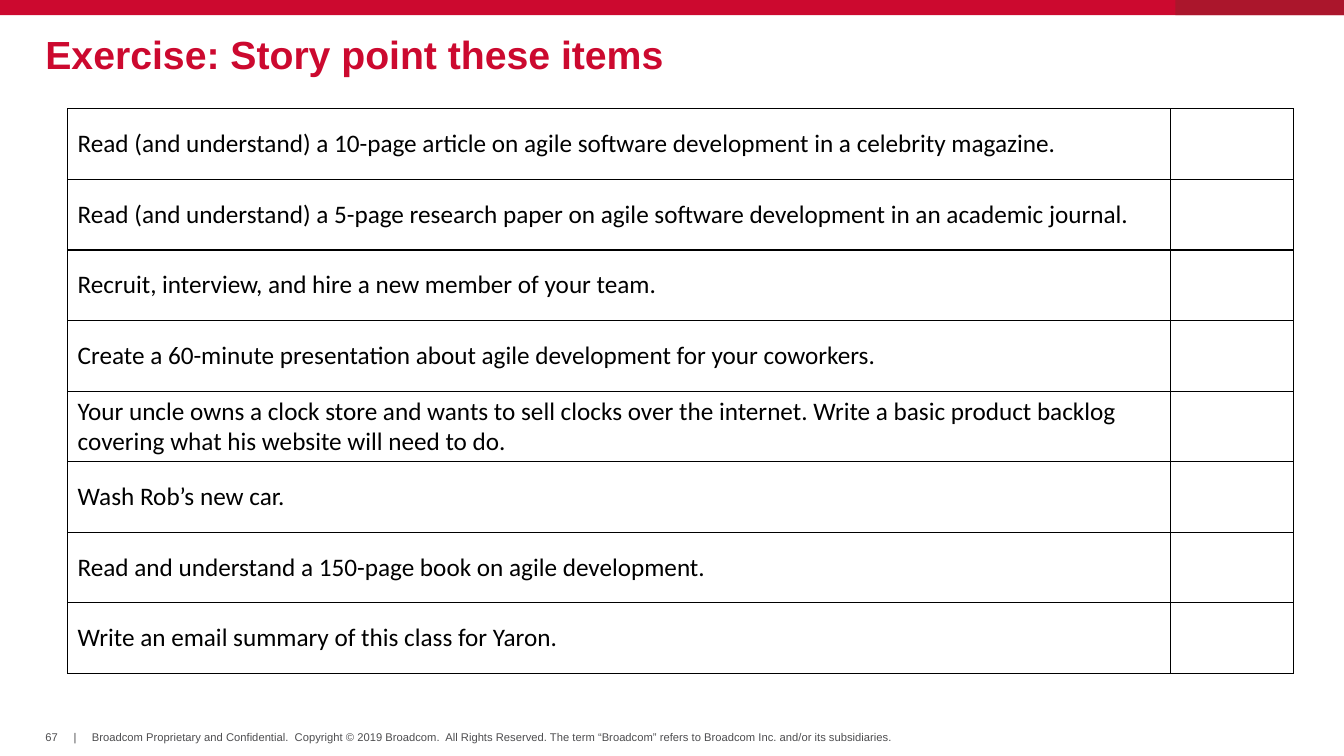
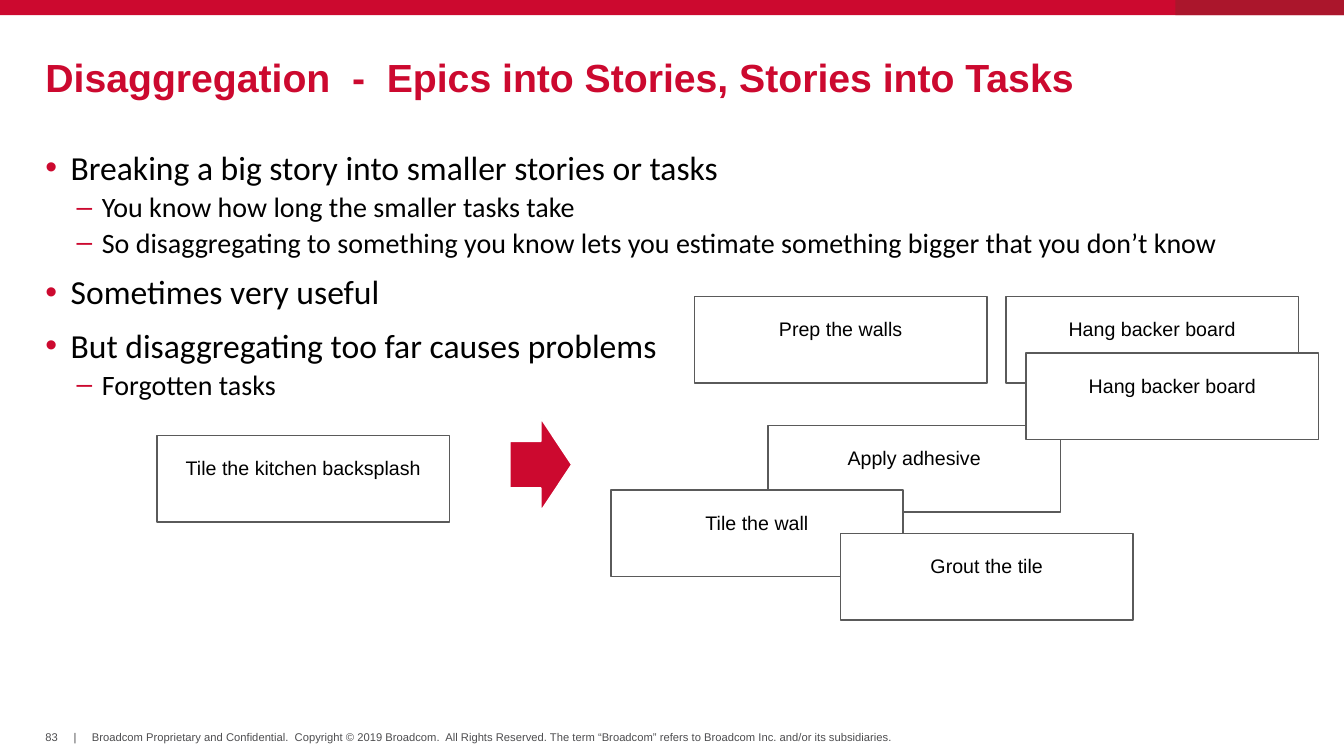
from dataclasses import dataclass

from lxml.etree import SubElement
from pptx import Presentation
from pptx.dml.color import RGBColor
from pptx.enum.shapes import MSO_SHAPE
from pptx.enum.text import MSO_ANCHOR, PP_ALIGN
from pptx.oxml.ns import qn
from pptx.shapes.autoshape import Shape
from pptx.slide import Slide
from pptx.util import Inches, Pt

WIDE, HIGH = Inches(13.33), Inches(7.5)
HEX = {
    "red": "CC092F", "dark": "AB162C", "gray": "4D4D4F",
    "edge": "5A5A5A", "black": "000000", "white": "FFFFFF",
}
LEFT, SPAN = 3.38, 93.23
LEGAL = (
    "Broadcom Proprietary and Confidential.  Copyright © 2019 Broadcom.  "
    "All Rights Reserved. The term “Broadcom” refers to Broadcom Inc. "
    "and/or its subsidiaries."
)
ITEMS = [
    "Read (and understand) a 10-page article on agile software development in a celebrity magazine.",
    "Read (and understand) a 5-page research paper on agile software development in an academic journal.",
    "Recruit, interview, and hire a new member of your team.",
    "Create a 60-minute presentation about agile development for your coworkers.",
    "Your uncle owns a clock store and wants to sell clocks over the internet. "
    "Write a basic product backlog covering what his website will need to do.",
    "Wash Rob’s new car.",
    "Read and understand a 150-page book on agile development.",
    "Write an email summary of this class for Yaron.",
]


@dataclass(frozen=True)
class Box:
    """A frame in percent of the slide's width and height."""
    left: float
    top: float
    width: float
    height: float

    def emu(self) -> tuple[int, int, int, int]:
        """Return the frame in slide units."""
        return (across(self.left), down(self.top),
                across(self.width), down(self.height))


@dataclass(frozen=True)
class Level:
    """The look of one bullet level."""
    mark: str
    size: int
    indent: float
    gap: int


@dataclass(frozen=True)
class Point:
    """One bullet line."""
    text: str
    depth: int = 0


@dataclass(frozen=True)
class Card:
    """A task card and its corner."""
    text: str
    left: float
    top: float


LEVELS = [Level("•", 24, 1.88, 12), Level("–", 20, 4.2, 4)]
POINTS = [
    Point("Breaking a big story into smaller stories or tasks"),
    Point("You know how long the smaller tasks take", 1),
    Point("So disaggregating to something you know lets you estimate something bigger that you don’t know", 1),
    Point("Sometimes very useful"),
    Point("But disaggregating too far causes problems"),
    Point("Forgotten tasks", 1),
]
CARDS = [
    Card("Tile the kitchen backsplash", 11.7, 57.6),
    Card("Prep the walls", 51.68, 39.2),
    Card("Apply adhesive", 57.15, 56.27),
    Card("Tile the wall", 45.45, 64.8),
    Card("Grout the tile", 62.55, 70.53),
    Card("Hang backer board", 74.85, 39.2),
    Card("Hang backer board", 76.35, 46.67),
]


def across(share: float) -> int:
    """Turn a percent of the width into slide units."""
    return round(WIDE * share / 100)


def down(share: float) -> int:
    """Turn a percent of the height into slide units."""
    return round(HIGH * share / 100)


def tint(name: str) -> RGBColor:
    """Look up a colour."""
    return RGBColor.from_string(HEX[name])


def style(para, size: int, color: str = "black", face: str = "Arial",
          bold: bool = False) -> None:
    """Set the font of a paragraph."""
    font = para.font
    font.size, font.name, font.bold = Pt(size), face, bold
    font.color.rgb = tint(color)


def frame(shape: Shape, anchor: MSO_ANCHOR, wrap: bool = True):
    """Clear the insets of a shape and return its text frame."""
    body = shape.text_frame
    body.margin_left = body.margin_right = 0
    body.margin_top = body.margin_bottom = 0
    body.vertical_anchor, body.word_wrap = anchor, wrap
    return body


def block(slide: Slide, kind: MSO_SHAPE, box: Box, fill: str,
          line: str = "") -> Shape:
    """Draw a flat shape, outlined if a line colour is given."""
    shape = slide.shapes.add_shape(kind, *box.emu())
    shape.shadow.inherit = False
    shape.fill.solid()
    shape.fill.fore_color.rgb = tint(fill)
    if line:
        shape.line.color.rgb = tint(line)
        shape.line.width = Pt(1)
    else:
        shape.line.fill.background()
    return shape


def label(slide: Slide, text: str, box: Box, size: int, color: str,
          bold: bool = False, wrap: bool = True):
    """Write one line of text and return its paragraph."""
    body = frame(slide.shapes.add_textbox(*box.emu()), MSO_ANCHOR.MIDDLE, wrap)
    para = body.paragraphs[0]
    para.text = text
    style(para, size, color, bold=bold)
    return para


def base(deck, title: str, top: float, page: int) -> Slide:
    """Add a slide with its band, title and footer."""
    slide = deck.slides.add_slide(deck.slide_layouts[6])
    block(slide, MSO_SHAPE.RECTANGLE, Box(0, 0, 100, 2), "red")
    block(slide, MSO_SHAPE.RECTANGLE, Box(87.45, 0, 12.55, 2), "dark")
    head = label(slide, title, Box(LEFT, top, SPAN, 5.33), 28, "red", True)
    head.line_spacing = 0.85
    for text, left, width in ((str(page), LEFT, 1.05), ("|", 5.48, 0.23),
                              (LEGAL, 6.83, 60.1)):
        label(slide, text, Box(left, 96.67, width, 1.73), 8, "gray", wrap=False)
    return slide


def border(cell) -> None:
    """Rule all four sides of a cell."""
    props = cell._tc.get_or_add_tcPr()
    for spot, side in enumerate(("lnL", "lnR", "lnT", "lnB")):
        line = SubElement(props, qn(f"a:{side}"), w=str(Pt(1)))
        fill = SubElement(line, qn("a:solidFill"))
        SubElement(fill, qn("a:srgbClr"), val=HEX["black"])
        props.insert(spot, line)


def grid(slide: Slide, items: list[str], box: Box, part: float) -> None:
    """Draw the items beside a blank column for their points."""
    table = slide.shapes.add_table(len(items), 2, *box.emu()).table
    table.first_row = table.horz_banding = False
    table.columns[0].width = across(box.width * part)
    table.columns[1].width = across(box.width * (1 - part))
    for row, item in enumerate(items):
        table.rows[row].height = down(box.height / len(items))
        for col, text in enumerate((item, "")):
            cell = table.cell(row, col)
            cell.text = text
            cell.vertical_anchor = MSO_ANCHOR.MIDDLE
            cell.fill.solid()
            cell.fill.fore_color.rgb = tint("white")
            style(cell.text_frame.paragraphs[0], 18, face="Calibri")
            border(cell)


def outline(slide: Slide, points: list[Point], box: Box) -> None:
    """Write the bullet list."""
    body = frame(slide.shapes.add_textbox(*box.emu()), MSO_ANCHOR.TOP)
    for spot, point in enumerate(points):
        level = LEVELS[point.depth]
        para = body.add_paragraph() if spot else body.paragraphs[0]
        para.text, para.level = point.text, point.depth
        props = para._p.get_or_add_pPr()
        props.set("marL", str(across(level.indent)))
        props.set("indent", str(-across(LEVELS[0].indent)))
        color = SubElement(props, qn("a:buClr"))
        SubElement(color, qn("a:srgbClr"), val=HEX["red"])
        SubElement(props, qn("a:buFont"), typeface="Arial")
        SubElement(props, qn("a:buChar"), char=level.mark)
        para.line_spacing = 0.9
        para.space_before = Pt(level.gap if spot else 0)
        style(para, level.size, face="Calibri")


def note(slide: Slide, card: Card) -> None:
    """Draw a task card."""
    box = Box(card.left, card.top, 21.75, 11.47)
    shape = block(slide, MSO_SHAPE.RECTANGLE, box, "white", "edge")
    body = frame(shape, MSO_ANCHOR.TOP)
    body.margin_top = down(3.07)
    para = body.paragraphs[0]
    para.text, para.alignment, para.line_spacing = card.text, PP_ALIGN.CENTER, 0.9
    style(para, 14)


def main() -> None:
    """Build and save the deck."""
    deck = Presentation()
    deck.slide_width, deck.slide_height = WIDE, HIGH
    slide = base(deck, "Exercise: Story point these items", 4.93, 67)
    grid(slide, ITEMS, Box(5.03, 14.4, 91.2, 74.67), 0.9)
    slide = base(deck, "Disaggregation  -  Epics into Stories, Stories into Tasks", 8, 83)
    outline(slide, POINTS, Box(LEFT, 20, SPAN, 32.93))
    block(slide, MSO_SHAPE.RIGHT_ARROW, Box(37.95, 55.33, 4.58, 12.27), "red", "white")
    for card in CARDS:
        note(slide, card)
    deck.save("out.pptx")


if __name__ == "__main__":
    main()
